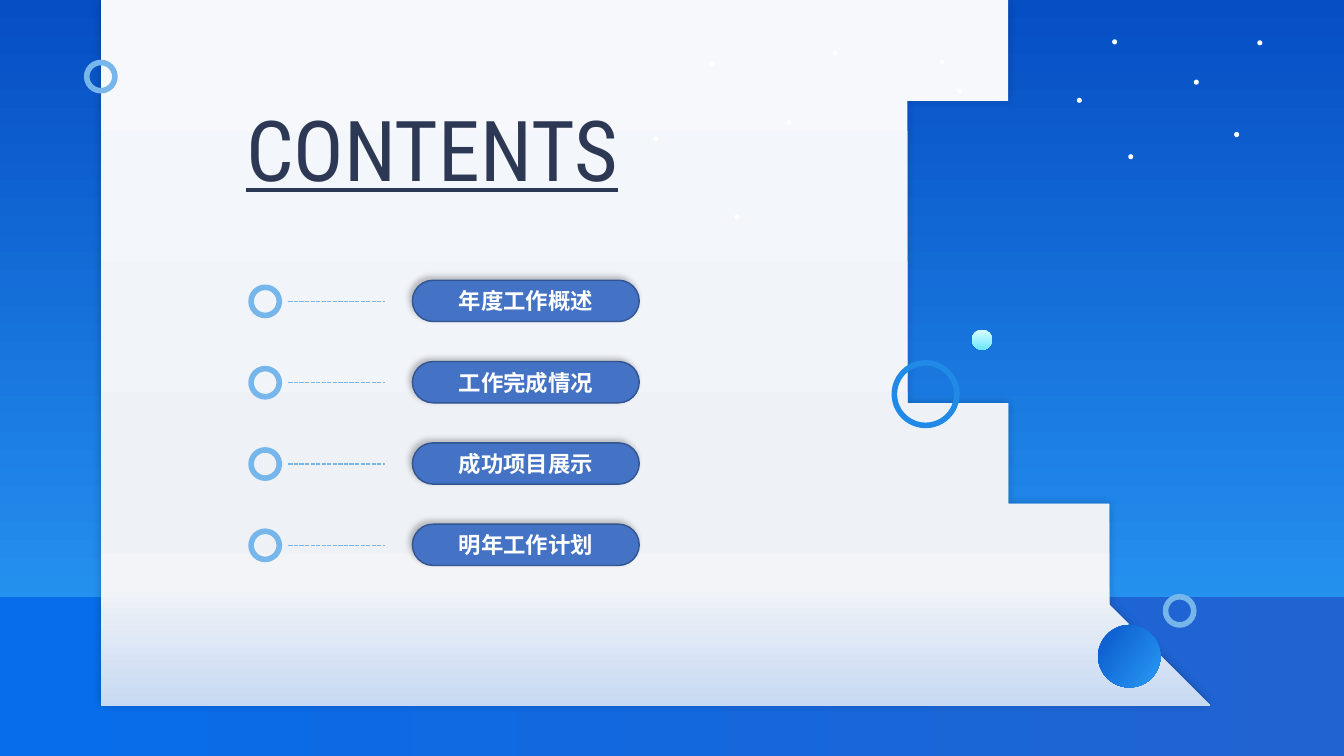
from copy import deepcopy
from lxml import etree
from pptx import Presentation, util as u
from pptx.dml.color import RGBColor
from pptx.enum import dml, shapes, text
from pptx.oxml.ns import qn

W, H = 13.33, 7.5
TITLE = "CONTENTS"
ITEMS = ["年度工作概述", "工作完成情况", "成功项目展示", "明年工作计划"]
FIRST_ROW, LAST_ROW = 2.99, 5.41
LEFT, TITLE_FONT, ITEM_FONT = 2.49, "Roboto Condensed", "Noto Sans CJK SC"
PALE, BRIGHT, DOT = "77B6EB", "208AE6", 0.05

SKY = [(0, "064EC4"), (100, "2CA2FA")]
FLOOR = [(0, "076DEA"), (100, "2163D0")]
PAPER = [(0, "F6F8FC"), (74, "EEF2F7"), (83, "F2F4F7"), (100, "C7D9F3")]
CURVE = [(9.76, 0), (9.76, 2.33), (7.28, 1.2), (11.89, 7)]
PAPER_LEFT, PAPER_BOTTOM = 1.05, 6.98
STARS = [(11.03, 0.39), (11.19, 1.53), (12.24, 1.31), (11.84, 0.79), (12.47, 0.4),
         (9.32, 0.59), (9.49, 0.88), (10.68, 0.97), (7.8, 1.19), (8.26, 0.5),
         (6.48, 1.35), (7.28, 2.13), (7.03, 0.61)]
RINGS = [(0.86, 0.62, 0.28, PALE), (8.87, 3.6, 0.62, BRIGHT), (11.56, 5.92, 0.28, PALE)]
BALLS = [(9.64, 3.27, 0.2, [(0, "D6FFFF"), (100, "6DE5FD")], 90),
         (10.89, 6.2, 0.62, [(0, "0A56C9"), (100, "289AF5")], 36)]


def rgb(value):
    return RGBColor.from_string(value)


def gradient(fill, root, stops, angle):
    fill.gradient()
    fill.gradient_angle = -angle % 360
    gs_list = root.find(".//" + qn("a:gsLst"))
    while len(gs_list) < len(stops):
        gs_list.append(deepcopy(gs_list[0]))
    for stop, (position, colour) in zip(fill.gradient_stops, stops):
        stop.position = position / 100
        stop.color.rgb = rgb(colour)


def stroke(line, colour, width):
    line.color.rgb = rgb(colour)
    line.width = u.Pt(width)


def effects(sp):
    return etree.SubElement(sp._element.spPr, qn("a:effectLst"))


def shadow(sp, alpha, blur, distance):
    for old in sp._element.spPr.findall(qn("a:effectLst")):
        sp._element.spPr.remove(old)
    outer = etree.SubElement(effects(sp), qn("a:outerShdw"), blurRad=str(u.Pt(blur)),
                             dist=str(u.Pt(distance)), dir=str(225 * 60000),
                             algn="ctr", rotWithShape="0")
    colour = etree.SubElement(outer, qn("a:srgbClr"), val="000000")
    etree.SubElement(colour, qn("a:alpha"), val=str(alpha * 1000))


def add(parent, kind, x, y, w, h):
    sp = parent.add_shape(kind, *map(u.Inches, (x, y, w, h)))
    sp.shadow.inherit = False
    sp.line.fill.background()
    return sp


def circle(parent, x, y, size):
    return add(parent, shapes.MSO_SHAPE.OVAL, x, y, size, size)


def ring(parent, x, y, size, colour):
    sp = circle(parent, x, y, size)
    sp.fill.background()
    stroke(sp.line, colour, 4)


def write(sp, content, font, size, colour, align, anchor):
    tf = sp.text_frame
    tf.word_wrap = True
    tf.vertical_anchor = anchor
    p = tf.paragraphs[0]
    p.text = content
    p.alignment = align
    p.font.size = u.Pt(size)
    p.font.color.rgb = rgb(colour)
    p.font.name = font
    etree.SubElement(p._p.pPr.find(qn("a:defRPr")), qn("a:ea"), typeface=font)
    return p


def bezier(points, t):
    while len(points) > 1:
        points = [tuple(a + (b - a) * t for a, b in zip(p0, p1))
                  for p0, p1 in zip(points, points[1:])]
    return points[0]


def add_paper(s):
    outline = [bezier(CURVE, i / 100) for i in range(101)] + [(PAPER_LEFT, PAPER_BOTTOM)]
    builder = s.shapes.build_freeform(PAPER_LEFT, 0, scale=u.Inches(1))
    builder.add_line_segments(outline, close=True)
    sp = builder.convert_to_shape()
    sp.line.fill.background()
    gradient(sp.fill, sp._element, PAPER, 90)
    shadow(sp, 20, 6, 0)


def add_title(s):
    title = s.shapes.title
    s.shapes._spTree.append(title._element)
    title.left, title.top, title.width, title.height = map(u.Inches, (2.34, 0.92, 3.92, 1.11))
    p = write(title, TITLE, TITLE_FONT, 60, "2D3855", text.PP_ALIGN.LEFT, text.MSO_ANCHOR.TOP)
    p.font.underline = True
    title.text_frame.auto_size = text.MSO_AUTO_SIZE.SHAPE_TO_FIT_TEXT


def add_item(s, label, middle):
    row = s.shapes.add_group_shape().shapes
    ring(row, LEFT, middle - 0.14, 0.28, PALE)
    dash = row.add_connector(shapes.MSO_CONNECTOR.STRAIGHT,
                             *map(u.Inches, (2.86, middle, 3.82, middle)))
    stroke(dash.line, PALE, 1)
    dash.line.dash_style = dml.MSO_LINE.SQUARE_DOT
    effects(dash)
    pill = add(row, shapes.MSO_SHAPE.ROUNDED_RECTANGLE, 4.09, middle - 0.21, 2.25, 0.41)
    pill.adjustments[0] = 0.5
    pill.fill.solid()
    pill.fill.fore_color.rgb = rgb("4472C4")
    stroke(pill.line, "325491", 1)
    shadow(pill, 24, 4, 3)
    p = write(pill, label, ITEM_FONT, 16, "FFFFFF", text.PP_ALIGN.CENTER, text.MSO_ANCHOR.MIDDLE)
    p.font.bold = True


def main():
    prs = Presentation()
    prs.slide_width, prs.slide_height = u.Inches(W), u.Inches(H)
    s = prs.slides.add_slide(prs.slide_layouts[5])
    gradient(s.background.fill, s._element, SKY, 90)
    floor = add(s.shapes, shapes.MSO_SHAPE.RECTANGLE, 0, 5.92, W, H - 5.92)
    gradient(floor.fill, floor._element, FLOOR, 0)
    add_paper(s)
    for x, y in STARS:
        star = circle(s.shapes, x, y, DOT)
        star.fill.solid()
        star.fill.fore_color.rgb = rgb("FFFFFF")
    for x, y, size, colour in RINGS:
        ring(s.shapes, x, y, size, colour)
    for x, y, size, stops, angle in BALLS:
        ball = circle(s.shapes, x, y, size)
        gradient(ball.fill, ball._element, stops, angle)
    add_title(s)
    pitch = (LAST_ROW - FIRST_ROW) / (len(ITEMS) - 1)
    for i, label in enumerate(ITEMS):
        add_item(s, label, FIRST_ROW + i * pitch)
    prs.save("out.pptx")


if __name__ == "__main__":
    main()
